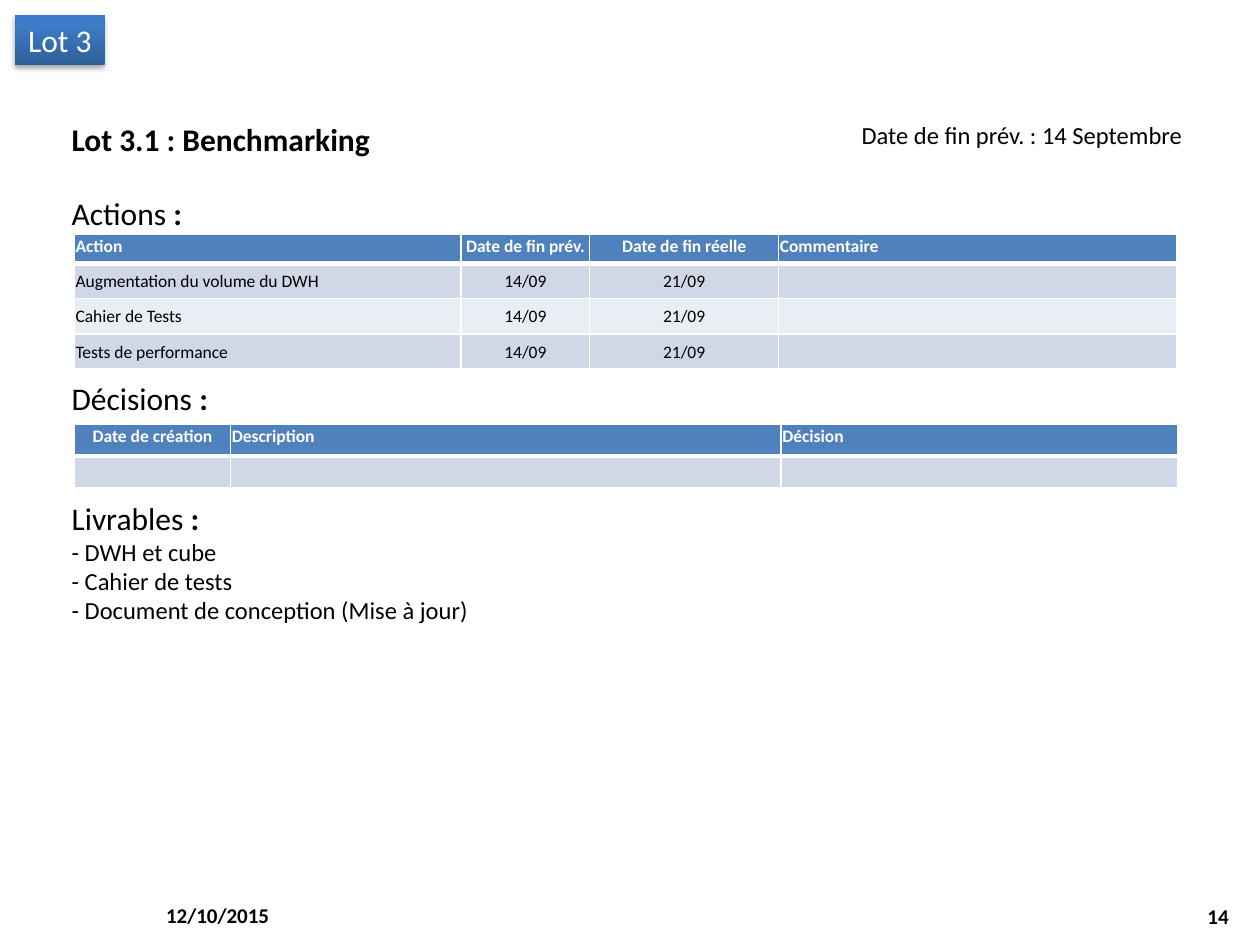
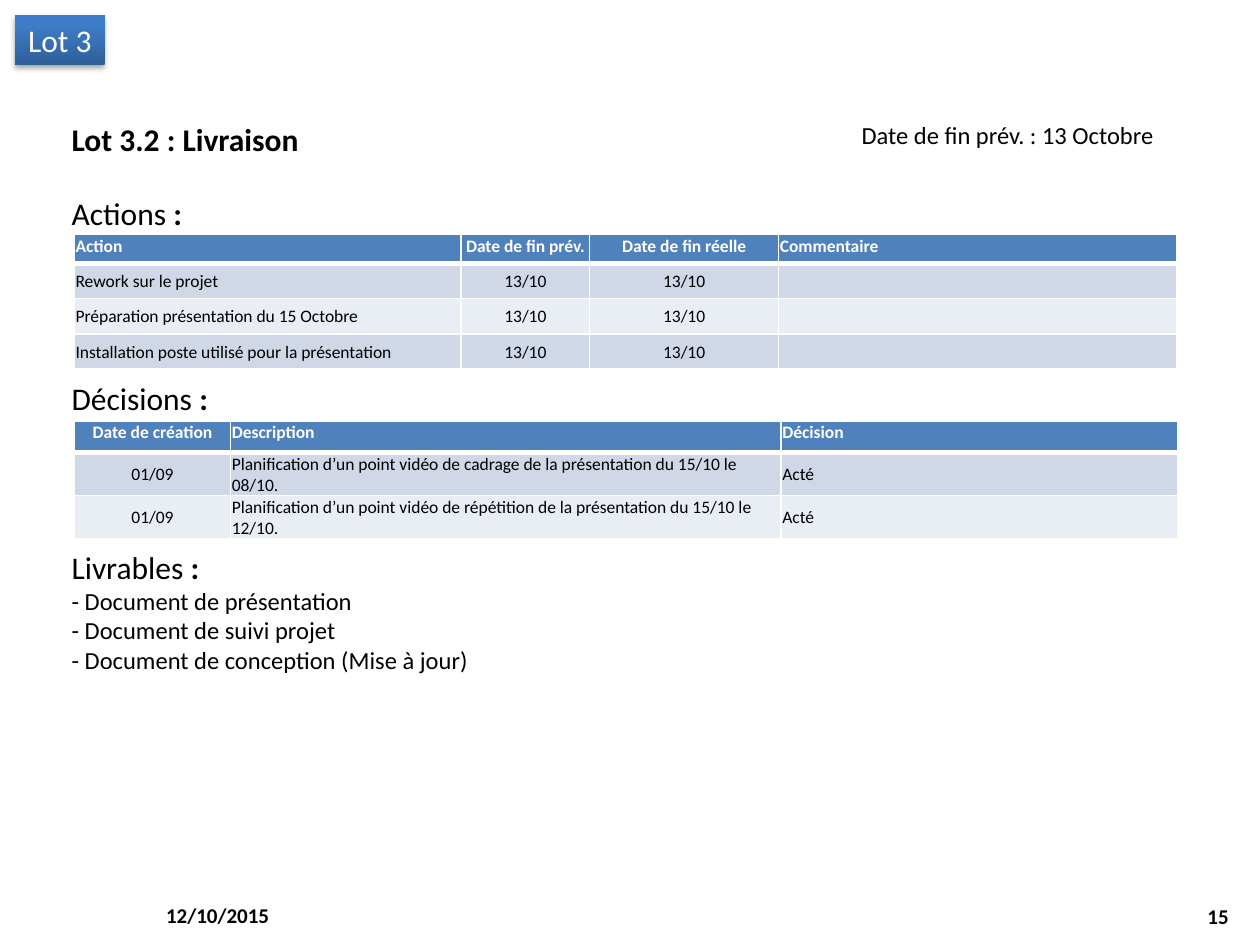
from lxml import etree
from pptx import Presentation
from pptx.dml.color import RGBColor
from pptx.enum import shapes, text
from pptx.oxml.ns import qn
from pptx.util import Inches, Pt

COLORS = {
    "text": "000000", "white": "FFFFFF", "header": "4F81BD",
    "odd_row": "D0D8E8", "even_row": "E9EDF4",
    "badge_dark": "2F5F99", "badge_mid": "3D7CC7", "badge_light": "3A7CCB",
}
FONT = "Calibri"
LEFT = 0.47
CENTER, RIGHT = text.PP_ALIGN.CENTER, text.PP_ALIGN.RIGHT
MIDDLE = text.MSO_ANCHOR.MIDDLE

HEADING = {"size": Pt(18), "bold": False}
HEADING_BOLD = {"size": Pt(18), "bold": True}
BODY = {"size": Pt(14), "bold": False}
FOOTER = {"size": Pt(12), "bold": True}
CELL = {"size": Pt(10), "bold": False}
CELL_HEADER = {"size": Pt(10), "bold": True}

TABLE_LEFT = 0.59
ACTIONS = {
    "headers": ["Action", "Date de fin prév.", "Date de fin réelle", "Commentaire"],
    "widths": [3.07, 1.02, 1.5, 3.16], "centered": {1, 2}, "header_height": 0.23,
}
DECISIONS = {
    "headers": ["Date de création", "Description", "Décision"],
    "widths": [1.24, 4.37, 3.15], "centered": {0}, "header_height": 0.25,
}

LOTS = [
    {
        "title": "Lot 3.1 : Benchmarking", "title_width": 2.6,
        "due": "14 Septembre",
        "actions": [
            ["Augmentation du volume du DWH", "14/09", "21/09", ""],
            ["Cahier de Tests", "14/09", "21/09", ""],
            ["Tests de performance", "14/09", "21/09", ""],
        ],
        "decisions": [["", "", ""]],
        "decisions_top": 3.37, "decision_height": 0.25,
        "deliverables": ["DWH et cube", "Cahier de tests",
                         "Document de conception (Mise à jour)"],
        "deliverables_top": 3.91,
    },
    {
        "title": "Lot 3.2 : Livraison", "title_width": 2.02,
        "due": "13 Octobre",
        "actions": [
            ["Rework sur le projet", "13/10", "13/10", ""],
            ["Préparation présentation du 15 Octobre", "13/10", "13/10", ""],
            ["Installation poste utilisé pour la présentation", "13/10", "13/10", ""],
        ],
        "decisions": [
            ["01/09", "Planification d’un point vidéo de cadrage de la "
                      "présentation du 15/10 le 08/10.", "Acté"],
            ["01/09", "Planification d’un point vidéo de répétition de la "
                      "présentation du 15/10 le 12/10.", "Acté"],
        ],
        "decisions_top": 3.34, "decision_height": 0.34,
        "deliverables": ["Document de présentation", "Document de suivi projet",
                         "Document de conception (Mise à jour)"],
        "deliverables_top": 4.3,
    },
]


def rgb(name):
    return RGBColor.from_string(COLORS[name])


def add_run(paragraph, content, style, color="text"):
    run = paragraph.add_run()
    run.text = content
    for name, value in {"name": FONT, **style}.items():
        setattr(run.font, name, value)
    run.font.color.rgb = rgb(color)


def add_text(slide, box, lines, wrap=False, align=None, anchor=None):
    """Add a text box; each line is a list of (text, style) runs."""
    frame = slide.shapes.add_textbox(*map(Inches, box)).text_frame
    frame.word_wrap = wrap
    frame.vertical_anchor = anchor
    for index, runs in enumerate(lines):
        paragraph = frame.add_paragraph() if index else frame.paragraphs[0]
        paragraph.alignment = align
        for content, style in runs:
            add_run(paragraph, content, style)


def heading(label):
    return [(label, HEADING), (" :", HEADING_BOLD)]


def add_color(parent, name):
    return etree.SubElement(parent, qn("a:srgbClr"), val=COLORS[name])


def add_badge(slide, label):
    badge = slide.shapes.add_shape(
        shapes.MSO_SHAPE.RECTANGLE, *map(Inches, (0.12, 0.12, 0.71, 0.4)))
    badge.line.fill.background()
    badge.fill.gradient()
    badge.fill.gradient_angle = 90
    properties = badge._element.spPr
    stops = properties.find(".//" + qn("a:gsLst"))
    for stop in list(stops):
        stops.remove(stop)
    for percent, name in ((0, "badge_dark"), (80, "badge_mid"), (100, "badge_light")):
        add_color(etree.SubElement(stops, qn("a:gs"), pos=str(percent * 1000)), name)

    badge.shadow.inherit = False
    shadow = etree.SubElement(
        properties.find(qn("a:effectLst")), qn("a:outerShdw"),
        blurRad=str(Pt(3.1)), dist=str(Pt(1.8)), dir="5400000", rotWithShape="0")
    etree.SubElement(add_color(shadow, "text"), qn("a:alpha"), val="35000")

    badge.text_frame.word_wrap = False
    add_run(badge.text_frame.paragraphs[0], label, HEADING, "white")


def add_borders(cell, top, bottom):
    properties = cell._tc.get_or_add_tcPr()
    for side, width in (("L", 1), ("R", 1), ("T", top), ("B", bottom)):
        line = etree.SubElement(properties, qn("a:ln" + side), w=str(Pt(width)))
        add_color(etree.SubElement(line, qn("a:solidFill")), "white")


def format_cell(cell, content, row, centered):
    is_header = row == 0
    add_borders(cell, top=3 if row == 1 else 1, bottom=3 if is_header else 1)
    cell.fill.solid()
    cell.fill.fore_color.rgb = rgb(
        "header" if is_header else "odd_row" if row % 2 else "even_row")
    for side in ("left", "right", "top"):
        setattr(cell, "margin_" + side, Inches(0.01))
    cell.margin_bottom = 0
    if not is_header:
        cell.vertical_anchor = MIDDLE
    paragraph = cell.text_frame.paragraphs[0]
    if centered:
        paragraph.alignment = CENTER
    if content:
        add_run(paragraph, content, CELL_HEADER if is_header else CELL,
                "white" if is_header else "text")
    else:  # keeps an empty row from growing to the default text size
        etree.SubElement(paragraph._p, qn("a:endParaRPr"), sz="1000")


def add_grid(slide, top, layout, records, row_height):
    rows = [layout["headers"], *records]
    heights = [layout["header_height"]] + [row_height] * len(records)
    widths = layout["widths"]
    table = slide.shapes.add_table(
        len(rows), len(widths), Inches(TABLE_LEFT), Inches(top),
        Inches(sum(widths)), Inches(sum(heights))).table
    for column, width in zip(table.columns, widths):
        column.width = Inches(width)
    for row, (values, height) in enumerate(zip(rows, heights)):
        table.rows[row].height = Inches(height)
        for column, value in enumerate(values):
            format_cell(table.cell(row, column), value, row,
                        column in layout["centered"])


def add_footer(slide, number):
    add_text(slide, (1.22, 7.06, 2.33, 0.4), [[("12/10/2015", FOOTER)]],
             wrap=True, anchor=MIDDLE)
    add_text(slide, (7.52, 7.07, 2.33, 0.4), [[(str(number), FOOTER)]],
             wrap=True, align=RIGHT, anchor=MIDDLE)


def add_lot_slide(presentation, lot, number):
    slide = presentation.slides.add_slide(presentation.slide_layouts[6])
    add_footer(slide, number)
    add_badge(slide, "Lot 3")
    add_text(slide, (6.74, 0.9, 3.1, 0.34),
             [[("Date de fin prév. : " + lot["due"], BODY)]], wrap=True)
    add_text(slide, (LEFT, 0.9, lot["title_width"], 0.4),
             [[(lot["title"], HEADING_BOLD)]])
    add_text(slide, (LEFT, 1.49, 1.11, 0.4), [heading("Actions")])
    add_text(slide, (LEFT, 2.96, 1.3, 0.4), [heading("Décisions")])
    deliverables = [[("- " + item, BODY)] for item in lot["deliverables"]]
    add_text(slide, (LEFT, lot["deliverables_top"], 3.42, 1.35),
             [heading("Livrables"), *deliverables])
    add_grid(slide, 1.86, ACTIONS, lot["actions"], 0.28)
    add_grid(slide, lot["decisions_top"], DECISIONS, lot["decisions"],
             lot["decision_height"])


def main():
    presentation = Presentation()
    presentation.slide_width = Inches(10)
    presentation.slide_height = Inches(7.5)
    for number, lot in enumerate(LOTS, start=14):
        add_lot_slide(presentation, lot, number)
    presentation.save("out.pptx")


if __name__ == "__main__":
    main()
